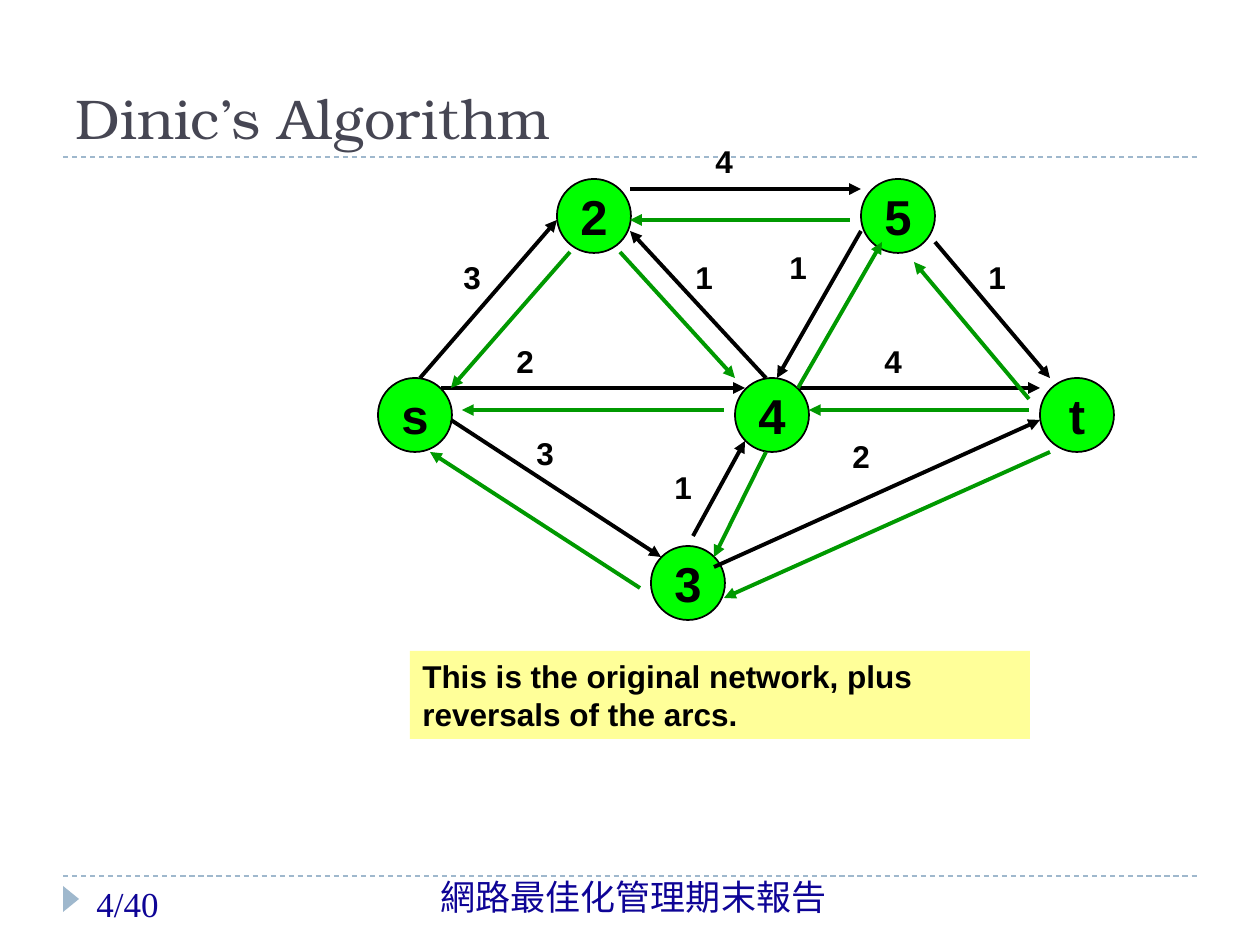
from lxml.etree import SubElement
from pptx import Presentation
from pptx.dml.color import RGBColor
from pptx.enum.dml import MSO_LINE_DASH_STYLE as Dash
from pptx.enum.shapes import MSO_CONNECTOR as Connector, MSO_SHAPE as Shape
from pptx.enum.text import MSO_ANCHOR as Anchor, MSO_AUTO_SIZE as AutoSize, PP_ALIGN as Align
from pptx.oxml.ns import qn
from pptx.util import Emu, Pt

PX_PER_INCH = 126
NODE_SIZE = 74
BLACK, GREEN, BLUE, NAVY = "000000", "009900", "9FB8CD", "0E0496"

NODES = [("s", 378, 378), ("2", 557, 179), ("4", 735, 378),
         ("5", 861, 179), ("3", 651, 546), ("t", 1040, 378)]
CAPACITIES = [("4", 703, 136), ("1", 976, 252), ("1", 777, 242), ("4", 872, 336),
              ("2", 840, 431), ("1", 662, 462), ("2", 504, 336), ("3", 451, 252),
              ("3", 524, 428), ("1", 683, 252)]
ARCS = [(451, 420, 661, 557), (420, 378, 557, 220), (441, 388, 745, 388),
        (766, 378, 630, 231), (630, 189, 861, 189), (861, 231, 777, 378),
        (798, 388, 1040, 388), (714, 567, 1040, 420), (935, 242, 1050, 378),
        (693, 536, 745, 441)]
REVERSALS = [(766, 452, 714, 557), (640, 588, 430, 452), (570, 252, 451, 388),
             (724, 410, 462, 410), (620, 252, 735, 378), (850, 220, 630, 220),
             (798, 388, 882, 242), (1050, 452, 724, 598), (1029, 399, 914, 262),
             (1029, 410, 809, 410)]


def px(value):
    return Emu(round(value * 914400 / PX_PER_INCH))


def color(code):
    return RGBColor.from_string(code)


def write(box, text, size, font, code, bold=False, align=Align.LEFT, anchor=Anchor.TOP, wrap=True):
    frame = box.text_frame
    frame.auto_size = AutoSize.NONE
    frame.word_wrap = wrap
    frame.vertical_anchor = anchor
    para = frame.paragraphs[0]
    para.alignment = align
    span = para.add_run()
    span.text = text
    span.font.size = Pt(size)
    span.font.name = font
    span.font.bold = bold
    span.font.color.rgb = color(code)


def add_title(page, text):
    title = page.shapes.title
    title.left, title.top, title.width, title.height = map(px, (63, 31, 1134, 126))
    write(title, text, 32, "TeX Gyre Bonum", "464653", anchor=Anchor.BOTTOM)


def add_text(page, bounds, text, size, font, code, **style):
    box = page.shapes.add_textbox(*map(px, bounds))
    write(box, text, size, font, code, **style)


def add_filled(page, kind, bounds, fill, outline=None):
    shape = page.shapes.add_shape(kind, *map(px, bounds))
    shape.shadow.inherit = False
    shape.fill.solid()
    shape.fill.fore_color.rgb = color(fill)
    if outline:
        shape.line.color.rgb = color(outline)
        shape.line.width = Pt(1)
    else:
        shape.line.fill.background()
    return shape


def add_line(page, ends, code, width):
    line = page.shapes.add_connector(Connector.STRAIGHT, *map(px, ends))
    line.line.color.rgb = color(code)
    line.line.width = Pt(width)
    SubElement(line._element.spPr, qn("a:effectLst"))
    return line


def add_rule(page, y):
    add_line(page, (63, y, 1197, y), BLUE, 0.75).line.dash_style = Dash.DASH


def add_arrow(page, ends, code):
    arrow = add_line(page, ends, code, 2.25)
    SubElement(arrow.line._get_or_add_ln(), qn("a:tailEnd"), type="triangle")


def add_node(page, name, x, y):
    node = add_filled(page, Shape.OVAL, (x, y, NODE_SIZE, NODE_SIZE), "00FF00", BLACK)
    write(node, name, 28, "Arial", BLACK, bold=True, align=Align.CENTER,
          anchor=Anchor.MIDDLE, wrap=False)


def add_note(page, text):
    note = add_filled(page, Shape.RECTANGLE, (410, 651, 620, 88), "FFFF99")
    write(note, text, 18, "Arial", BLACK, bold=True)


def add_footer(page):
    marker = add_filled(page, Shape.ISOSCELES_TRIANGLE, (58, 891, 26, 16), BLUE)
    marker.rotation = 90
    add_text(page, (392, 869, 483, 50), "網路最佳化管理期末報告", 20, "Calibri", NAVY,
             align=Align.CENTER)
    add_text(page, (84, 876, 273, 50), "4/40", 20, "Times New Roman", NAVY)


def main():
    deck = Presentation()
    deck.slide_width, deck.slide_height = px(1260), px(945)
    page = deck.slides.add_slide(deck.slide_layouts[5])
    for y in (876, 157):
        add_rule(page, y)
    add_footer(page)
    add_title(page, "Dinic’s Algorithm")
    add_note(page, "This is the original network, plus reversals of the arcs.")
    for value, x, y in CAPACITIES:
        add_text(page, (x, y, 74, 50), value, 18, "Arial", BLACK, bold=True)
    for node in NODES:
        add_node(page, *node)
    for arcs, code in ((ARCS, BLACK), (REVERSALS, GREEN)):
        for ends in arcs:
            add_arrow(page, ends, code)
    deck.save("out.pptx")


if __name__ == "__main__":
    main()
